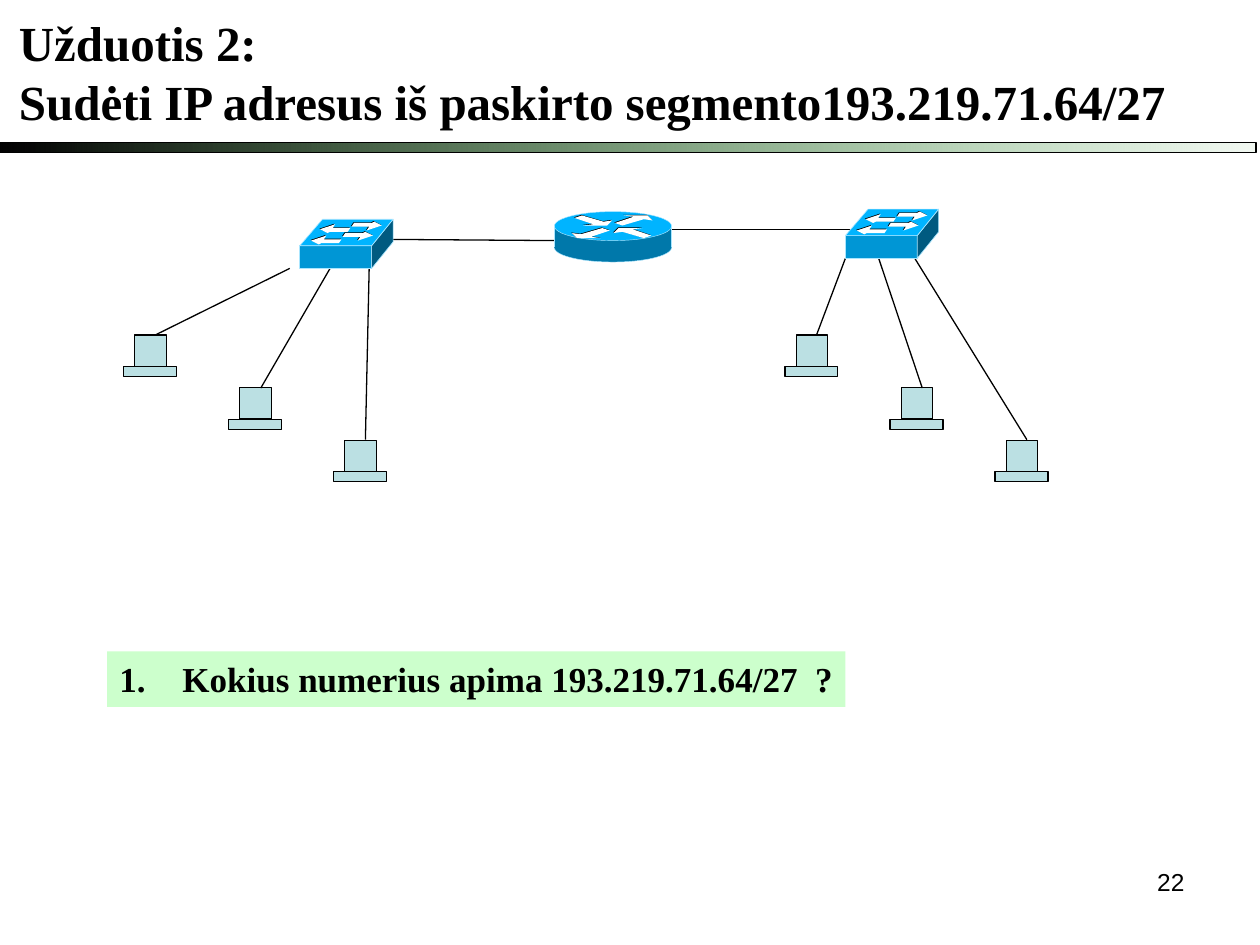
from lxml import etree
from pptx import Presentation
from pptx.dml.color import RGBColor
from pptx.enum.shapes import MSO_CONNECTOR as CONN, MSO_SHAPE as SHAPE
from pptx.enum.text import MSO_ANCHOR as ANCHOR, MSO_AUTO_SIZE as FIT, PP_ALIGN as ALIGN
from pptx.oxml.ns import qn
from pptx.util import Inches, Pt

SERIF = {"name": "Times New Roman", "bold": True}
BLACK, WHITE, EDGE = "000000", "FFFFFF", "AAE6FF"
PC_FILL, TOP_FILL = "BBE0E3", "00B4FF"
PC_STEP_X, PC_STEP_Y = 5 / 6, 5 / 12
ARROW_SHADE = 0.01 / 2
SWITCH_ARROW = [(0.02, 0.01), (0, 0.04), (0.14, 0.04), (0.12, 0.07),
                (0.24, 0.03), (0.18, 0), (0.16, 0.01)]
ROUTER_ARROW = [(0, 0.06), (0.06, 0.08), (0.23, 0.03), (0.3, 0.04),
                (0.26, 0), (0.07, 0), (0.15, 0.01)]
UPLINKS = [
    (2.3, 2.13, 1.23, 2.66), (2.62, 2.13, 2.07, 3.08), (2.93, 2.13, 2.9, 3.49),
    (6.71, 2.05, 6.48, 2.66), (6.95, 1.98, 7.32, 3.08), (7.26, 2.05, 8.15, 3.49),
    (3.09, 1.9, 4.48, 1.91), (5.29, 1.82, 6.84, 1.82),
]


def rgb(value):
    """Turn a hex string into a colour."""
    return RGBColor.from_string(value)


def paint(s, fill, line=None, width=0.75):
    """Give a shape a flat fill and an optional outline."""
    s.shadow.inherit = False
    s.fill.solid()
    s.fill.fore_color.rgb = rgb(fill)
    if line:
        s.line.color.rgb = rgb(line)
        s.line.width = Pt(width)
    else:
        s.line.fill.background()
    return s


def add_box(shapes, kind, box, fill, line=None, width=0.75):
    """Add a preset shape at left, top, width, height."""
    s = shapes.add_shape(kind, *map(Inches, box))
    return paint(s, fill, line, width)


def add_line(shapes, ends, color=BLACK, width=0.75):
    """Add a straight line between two points."""
    s = shapes.add_connector(CONN.STRAIGHT, *map(Inches, ends))
    s.line.color.rgb = rgb(color)
    s.line.width = Pt(width)
    etree.SubElement(s.element.spPr, qn("a:effectLst"))


def add_outline(shapes, points, fill, line=None, width=0.75):
    """Add a closed polygon through points given in inches."""
    pts = [(x * 1000, y * 1000) for x, y in points]
    builder = shapes.build_freeform(*pts[0], scale=Inches(1) / 1000)
    builder.add_line_segments(pts[1:], close=True)
    return paint(builder.convert_to_shape(), fill, line, width)


def add_arrows(shapes, arrow, places):
    """Add white arrows over black ones set slightly up and left."""
    w, h = (max(axis) for axis in zip(*arrow))
    for color, shift in ((BLACK, ARROW_SHADE), (WHITE, 0)):
        for x, y, flip_x, flip_y in places:
            points = [(x - shift + (w - dx if flip_x else dx),
                       y - shift + (h - dy if flip_y else dy)) for dx, dy in arrow]
            add_outline(shapes, points, color)


def add_pc(shapes, x, y):
    """Add a computer made of a screen and a base."""
    for box in ((x + 0.09, y, 0.25, 0.25), (x, y + 0.25, 0.42, 0.08)):
        add_box(shapes, SHAPE.RECTANGLE, box, PC_FILL, BLACK)


def add_switch(shapes, x, y):
    """Add a network switch with its top left corner at x, y."""
    front, right, back, mid, low = x + 0.57, x + 0.74, x + 0.18, y + 0.21, y + 0.39
    add_box(shapes, SHAPE.RECTANGLE, (x, mid, 0.57, 0.18), "0096D5", EDGE, 0.37)
    side = [(front, mid), (right, y), (right, y + 0.18), (front, low)]
    top = [(front, mid), (right, y), (back, y), (x, mid)]
    for points, fill in ((side, "005A80"), (top, TOP_FILL)):
        add_outline(shapes, points, fill, EDGE, 0.37)
    add_arrows(shapes, SWITCH_ARROW, [
        (x + 0.34, y + 0.1, False, False), (x + 0.41, y + 0.02, False, False),
        (x + 0.09, y + 0.13, True, True), (x + 0.16, y + 0.04, True, True)])


def add_router(shapes, x, y):
    """Add a router as a cylinder with four arrows."""
    add_box(shapes, SHAPE.OVAL, (x, y + 0.17, 0.93, 0.23), "0078AA", EDGE, 0.25)
    add_box(shapes, SHAPE.RECTANGLE, (x, y + 0.12, 0.93, 0.17), "0078AA")
    add_box(shapes, SHAPE.OVAL, (x, y, 0.93, 0.23), TOP_FILL, EDGE, 0.25)
    add_arrows(shapes, ROUTER_ARROW, [
        (x + 0.48, y + 0.03, False, False), (x + 0.14, y + 0.13, True, True),
        (x + 0.16, y + 0.03, False, True), (x + 0.47, y + 0.13, True, False)])
    for edge in (x, x + 0.93):
        add_line(shapes, (edge, y + 0.11, edge, y + 0.28), EDGE, 0.25)


def add_rule(shapes):
    """Add the bar under the title, fading from black to faint green."""
    s = add_box(shapes, SHAPE.RECTANGLE, (-0.03, 1.13, 10, 0.08), BLACK, BLACK)
    s.fill.gradient()
    s.fill.gradient_angle = 0
    for stop, color, position in zip(s.fill.gradient_stops, (BLACK, "008000"), (0, 1)):
        stop.color.rgb = rgb(color)
        stop.position = position
    end = s.element.spPr.findall(".//" + qn("a:gs"))[-1][0]
    etree.SubElement(end, qn("a:alpha"), val="5000")


def set_text(s, lines, size, font, align=ALIGN.LEFT, wrap=True):
    """Write lines as paragraphs in one format."""
    tf = s.text_frame
    frame = {"word_wrap": wrap, "vertical_anchor": ANCHOR.TOP,
             "auto_size": FIT.NONE if wrap else FIT.SHAPE_TO_FIT_TEXT}
    for key, value in frame.items():
        setattr(tf, key, value)
    for i, line in enumerate(lines):
        p = tf.add_paragraph() if i else tf.paragraphs[0]
        p.alignment = align
        r = p.add_run()
        r.text = line
        for key, value in {**font, "size": Pt(size)}.items():
            setattr(r.font, key, value)
        r.font.color.rgb = rgb(BLACK)


def set_title(s):
    """Place and write the title."""
    box = {"left": 0.05, "top": 0.05, "width": 9.32, "height": 1.04}
    for key, value in box.items():
        setattr(s, key, Inches(value))
    set_text(s, ["Užduotis 2:", "Sudėti IP adresus iš paskirto segmento193.219.71.64/27"],
             28, SERIF, wrap=False)


def add_question(shapes):
    """Add the numbered question on one line of its green band."""
    s = add_box(shapes, SHAPE.RECTANGLE, (0.85, 5.17, 5.86, 0.44), "CCFFCC")
    set_text(s, ["Kokius numerius apima 193.219.71.64/27  ?"], 20, SERIF)
    s.text_frame.margin_right = 0
    pPr = s.text_frame.paragraphs[0]._p.get_or_add_pPr()
    pPr.set("marL", str(Inches(0.5)))
    pPr.set("indent", str(Inches(-0.5)))
    etree.SubElement(pPr, qn("a:buAutoNum"), type="arabicPeriod")


def main():
    """Build the slide and save it."""
    prs = Presentation()
    prs.slide_width, prs.slide_height = Inches(10), Inches(7.5)
    slide = prs.slides.add_slide(prs.slide_layouts[5])
    shapes = slide.shapes
    set_title(shapes.title)
    add_question(shapes)
    number = shapes.add_textbox(*map(Inches, (7.17, 6.83, 2.33, 0.52)))
    set_text(number, ["22"], 14, {"name": "Arial"}, ALIGN.RIGHT)
    add_rule(shapes)
    for x in (0.98, 6.23):
        for i in range(3):
            add_pc(shapes, x + i * PC_STEP_X, 2.66 + i * PC_STEP_Y)
    for ends in UPLINKS:
        add_line(shapes, ends)
    add_router(shapes, 4.4, 1.68)
    add_switch(shapes, 6.71, 1.66)
    add_switch(shapes, 2.38, 1.74)
    prs.save("out.pptx")


if __name__ == "__main__":
    main()
